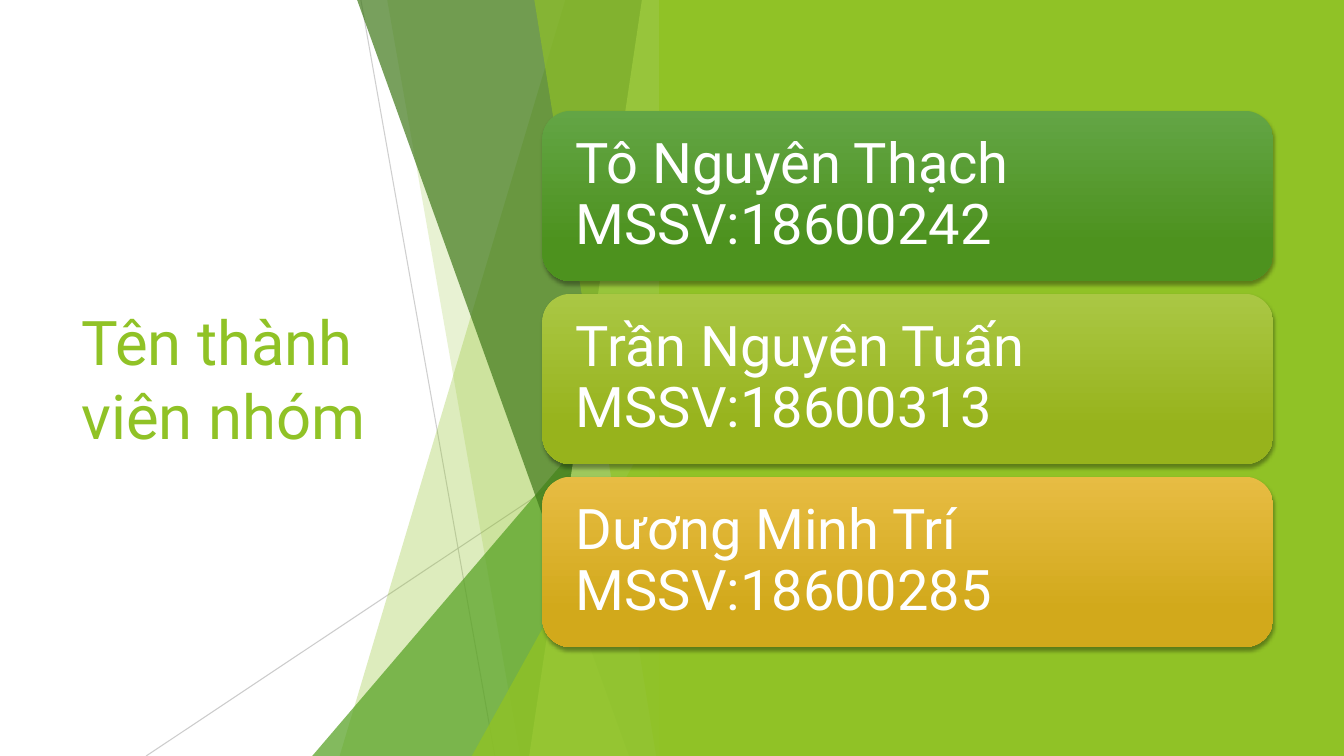
from lxml.etree import SubElement as Sub
from pptx import Presentation
from pptx.dml.color import RGBColor
from pptx.enum.shapes import MSO_CONNECTOR as Link, MSO_SHAPE as Form
from pptx.enum.text import MSO_ANCHOR as Anchor, MSO_AUTO_SIZE as Auto, PP_ALIGN as Align
from pptx.oxml.ns import qn
from pptx.util import Pt

WHITE = RGBColor(0xFF, 0xFF, 0xFF)
GRAY = RGBColor(0xBF, 0xBF, 0xBF)
LIME = RGBColor(0x90, 0xC2, 0x26)
PALE = RGBColor(0xC0, 0xE4, 0x74)
LEAF = RGBColor(0x54, 0xA0, 0x21)
PINE = RGBColor(0x3F, 0x78, 0x19)

# Name with number, upper and lower colour of the card
TEAM = [
    ("Tô Nguyên Thạch MSSV:18600242",
     RGBColor(0x63, 0xA5, 0x45), RGBColor(0x4D, 0x92, 0x1E)),
    ("Trần Nguyên Tuấn MSSV:18600313",
     RGBColor(0xAA, 0xC7, 0x44), RGBColor(0x97, 0xB3, 0x1C)),
    ("Dương Minh Trí MSSV:18600285",
     RGBColor(0xE7, 0xBC, 0x43), RGBColor(0xD2, 0xA9, 0x1B)),
]


def write(shape, text, size, color, inset=(7.2, 3.6), space=1.0):
    frame = shape.text_frame
    frame.word_wrap = True
    frame.auto_size = Auto.NONE
    frame.vertical_anchor = Anchor.MIDDLE
    frame.margin_left = frame.margin_right = Pt(inset[0])
    frame.margin_top = frame.margin_bottom = Pt(inset[1])
    para = frame.paragraphs[0]
    para.alignment = Align.LEFT
    para.line_spacing = space
    run = para.add_run()
    run.text = text
    run.font.name = "Roboto"
    run.font.size = Pt(size)
    run.font.color.rgb = color


def fade(shape, alpha):
    for color in shape.element.spPr.iter(qn("a:srgbClr")):
        Sub(color, qn("a:alpha"), val=str(alpha * 1000))


def paint(shape, color, alpha=100):
    shape.shadow.inherit = False
    shape.fill.solid()
    shape.fill.fore_color.rgb = color
    shape.line.fill.background()
    if alpha < 100:
        fade(shape, alpha)


def head(slide, x, y, w, h):
    title = slide.shapes.title
    title.left, title.top, title.width, title.height = Pt(x), Pt(y), Pt(w), Pt(h)
    write(title, "Tên thành viên nhóm", 44, LIME)


def facets(slide, x, y, w, h):
    shapes = slide.shapes

    def line(start, end, alpha):
        link = shapes.add_connector(
            Link.STRAIGHT, Pt(x + start[0]), Pt(y + start[1]),
            Pt(x + end[0]), Pt(y + end[1]))
        link.line.color.rgb = GRAY
        link.line.width = Pt(0.75)
        Sub(link.element.spPr, qn("a:effectLst"))
        fade(link, alpha)

    # Slanted left edge from the top to the foot, straight right edge
    def pane(top, foot, color, alpha):
        path = shapes.build_freeform(Pt(x + top), Pt(y - 0.6))
        path.add_line_segments([
            (Pt(x + w), Pt(y - 0.6)), (Pt(x + w), Pt(y + h)),
            (Pt(x + foot), Pt(y + h))], close=True)
        paint(path.convert_to_shape(), color, alpha)

    # Triangle with its tip above the right edge
    def wedge(left, top, color, alpha):
        shape = shapes.add_shape(
            Form.ISOSCELES_TRIANGLE, Pt(x + left), Pt(y + top),
            Pt(w - left), Pt(h - top))
        shape.adjustments[0] = 1
        paint(shape, color, alpha)

    line((34.8, 0), (130.5, h), 75)
    line((w, 290.2), (-118.6, h), 80)
    pane(181, 19.6, LIME, 30)
    pane(53.5, 148.5, LIME, 20)
    wedge(0, 240, LEAF, 72)
    pane(31.9, 226.3, PINE, 70)
    pane(235.6, 155, PALE, 70)
    pane(158.6, 245.7, LIME, 65)
    wedge(114, 283, LIME, 80)


def panel(slide, x, y, w, h):
    paint(slide.shapes.add_shape(Form.RECTANGLE, Pt(x), Pt(y), Pt(w), Pt(h)), LIME)


def cards(slide, x, y, w, h, gap=9):
    tall = (h - gap * (len(TEAM) - 1)) / len(TEAM)
    for i, (name, light, dark) in enumerate(TEAM):
        card = slide.shapes.add_shape(
            Form.ROUNDED_RECTANGLE, Pt(x), Pt(y + i * (tall + gap)), Pt(w), Pt(tall))
        card.line.fill.background()
        card.fill.gradient()
        card.fill.gradient_angle = 270
        first, last = card.fill.gradient_stops
        first.color.rgb, first.position = light, 0
        last.color.rgb, last.position = dark, 0.78
        # Soft shadow below the card
        card.shadow.inherit = False
        glow = Sub(card.element.spPr.find(qn("a:effectLst")), qn("a:outerShdw"),
                   blurRad=str(Pt(3)), dist=str(Pt(2)), dir="5400000", rotWithShape="0")
        Sub(Sub(glow, qn("a:srgbClr"), val="000000"), qn("a:alpha"), val="35000")
        write(card, name, 40, WHITE, inset=(18, 18), space=0.9)


def main():
    deck = Presentation()
    deck.slide_width, deck.slide_height = Pt(960), Pt(540)
    slide = deck.slides.add_slide(deck.slide_layouts[5])
    head(slide, 51, 108.7, 279.4, 322.6)
    facets(slide, 223, 0, 256.5, 540)
    panel(slide, 470.9, 0, 489.1, 540)
    cards(slide, 387.4, 79.2, 522, 383)
    deck.save("out.pptx")


if __name__ == "__main__":
    main()
